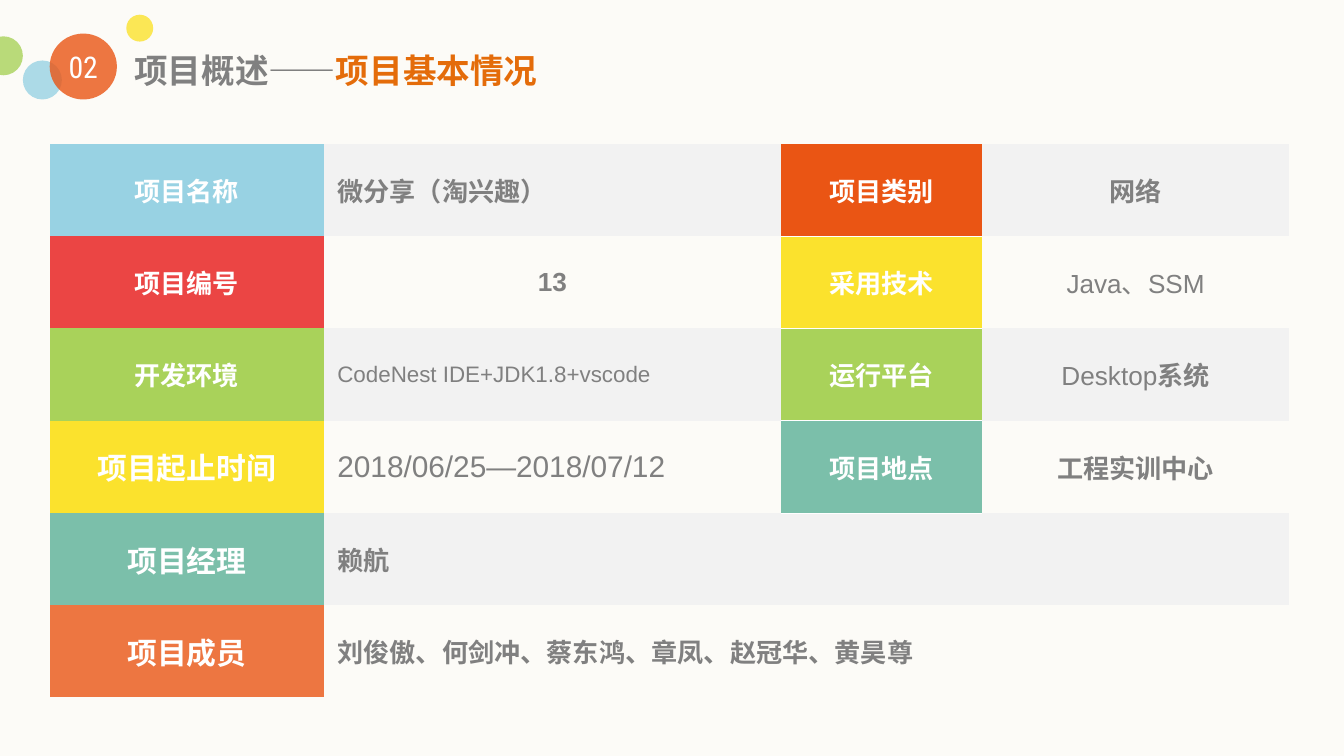
from lxml.etree import SubElement
from pptx import Presentation
from pptx.dml.color import RGBColor
from pptx.enum.shapes import MSO_SHAPE
from pptx.enum.text import MSO_ANCHOR, PP_ALIGN
from pptx.oxml.ns import qn
from pptx.util import Inches, Pt

CREAM = RGBColor(0xFC, 0xFB, 0xF7)
WHITE = RGBColor(0xFF, 0xFF, 0xFF)
GRAY = RGBColor(0x80, 0x80, 0x80)
PALE = RGBColor(0xF2, 0xF2, 0xF2)
BLUE = RGBColor(0x98, 0xD2, 0xE3)
RED = RGBColor(0xEB, 0x45, 0x44)
GREEN = RGBColor(0xA9, 0xD2, 0x5A)
YELLOW = RGBColor(0xFB, 0xE2, 0x2D)
TEAL = RGBColor(0x7B, 0xBF, 0xAA)
CORAL = RGBColor(0xED, 0x76, 0x41)
ORANGE = RGBColor(0xEA, 0x55, 0x14)
AMBER = RGBColor(0xE4, 0x6C, 0x0A)

LEFT, MID = PP_ALIGN.LEFT, PP_ALIGN.CENTER
HEAD = "Roboto Condensed"


def write(frame, text, size=14, color=GRAY, bold=True, font="Arial", align=MID):
    para = frame.paragraphs[0]
    para.alignment = align
    run = para.add_run()
    run.text = text
    run.font.size = Pt(size)
    run.font.name = font
    run.font.bold = bold
    run.font.color.rgb = color


def add_box(slide, x, y, w, h):
    frame = slide.shapes.add_textbox(Inches(x), Inches(y), Inches(w), Inches(h)).text_frame
    frame.margin_left = frame.margin_right = 0
    frame.margin_top = frame.margin_bottom = 0
    frame.word_wrap = True
    return frame


def add_dot(slide, x, y, w, h, color):
    dot = slide.shapes.add_shape(MSO_SHAPE.OVAL, Inches(x), Inches(y), Inches(w), Inches(h))
    dot.shadow.inherit = False
    dot.line.fill.background()
    dot.fill.solid()
    dot.fill.fore_color.rgb = color
    tint = dot.fill._xPr.find(qn("a:solidFill"))[0]
    SubElement(tint, qn("a:alpha"), val="80000")


def add_header(slide, x, y):
    dots = [
        (1.06, 0, 0.2, 0.2, YELLOW),
        (0, 0.16, 0.29, 0.29, GREEN),
        (0.29, 0.34, 0.29, 0.29, BLUE),
        (0.49, 0.14, 0.5, 0.49, ORANGE),
    ]
    for left, top, w, h, color in dots:
        add_dot(slide, x + left, y + top, w, h, color)
    write(add_box(slide, x + 0.56, y + 0.25, 0.36, 0.54), "02",
          size=16, color=WHITE, bold=False, font=HEAD)
    title = add_box(slide, x + 1.12, y + 0.26, 4.47, 0.3)
    write(title, "项目概述——", size=18, font=HEAD, align=LEFT)
    write(title, "项目基本情况", size=18, color=AMBER, font=HEAD, align=LEFT)


def add_rule(cell, sides):
    props = cell._tc.get_or_add_tcPr()
    for i, side in enumerate(sides):
        line = SubElement(props, qn("a:" + side), w=str(Pt(0.5)))
        fill = SubElement(line, qn("a:solidFill"))
        SubElement(fill, qn("a:srgbClr"), val=str(WHITE))
        props.insert(i, line)


def fill_cell(cell, color):
    cell.vertical_anchor = MSO_ANCHOR.MIDDLE
    cell.margin_left = cell.margin_right = Inches(0.1)
    cell.margin_top = cell.margin_bottom = 0
    if color is None:
        cell.fill.background()
    else:
        cell.fill.solid()
        cell.fill.fore_color.rgb = color


def add_facts(slide, x, y, w, h):
    plain = dict(bold=False)
    big = dict(size=16)
    left = dict(align=LEFT)
    rows = [
        [("项目名称", BLUE, {}), ("微分享（淘兴趣）", left),
         ("项目类别", ORANGE, {}), ("网络", {})],
        [("项目编号", RED, {}), ("13", {}),
         ("采用技术", YELLOW, {}), ("Java、SSM", plain)],
        [("开发环境", GREEN, {}),
         ("CodeNest IDE+JDK1.8+vscode", dict(size=12, bold=False, align=LEFT)),
         ("运行平台", GREEN, {}), ("Desktop", plain)],
        [("项目起止时间", YELLOW, big),
         ("2018/06/25—2018/07/12", dict(size=16, bold=False, align=LEFT)),
         ("项目地点", TEAL, {}), ("工程实训中心", {})],
        [("项目经理", TEAL, big), ("赖航", left)],
        [("项目成员", CORAL, big),
         ("刘俊傲、何剑冲、蔡东鸿、章凤、赵冠华、黄昊尊", left)],
    ]
    table = slide.shapes.add_table(len(rows), 4, Inches(x), Inches(y), Inches(w), Inches(h)).table
    table._tbl.tblPr[0].text = "{2D5ABB26-0587-4C30-8999-92F81FD0307C}"
    table.first_row = table.horz_banding = False
    for col, wide in zip(table.columns, (2.04, 3.4, 1.5, 2.28)):
        col.width = Inches(wide)
    for r, row in enumerate(rows):
        table.rows[r].height = Inches(h / len(rows))
        band = PALE if r % 2 == 0 else None
        if len(row) == 2:
            table.cell(r, 1).merge(table.cell(r, 3))
        for c, item in enumerate(row):
            cell = table.cell(r, c)
            if c % 2 == 0:
                text, color, style = item
                fill_cell(cell, color)
                write(cell.text_frame, text, color=WHITE, **style)
            else:
                text, style = item
                fill_cell(cell, band)
                write(cell.text_frame, text, **style)
    write(table.cell(2, 3).text_frame, "系统")
    for r, sides in enumerate((["lnB"], ["lnT", "lnB"], ["lnT", "lnB"], ["lnT"])):
        add_rule(table.cell(r, 2), sides)


def main():
    deck = Presentation()
    deck.slide_width, deck.slide_height = Inches(10), Inches(10 * 9 / 16)
    slide = deck.slides.add_slide(deck.slide_layouts[6])
    slide.background.fill.solid()
    slide.background.fill.fore_color.rgb = CREAM
    add_facts(slide, 0.37, 1.07, 9.22, 4.12)
    add_header(slide, -0.12, 0.11)
    deck.save("out.pptx")


if __name__ == "__main__":
    main()
